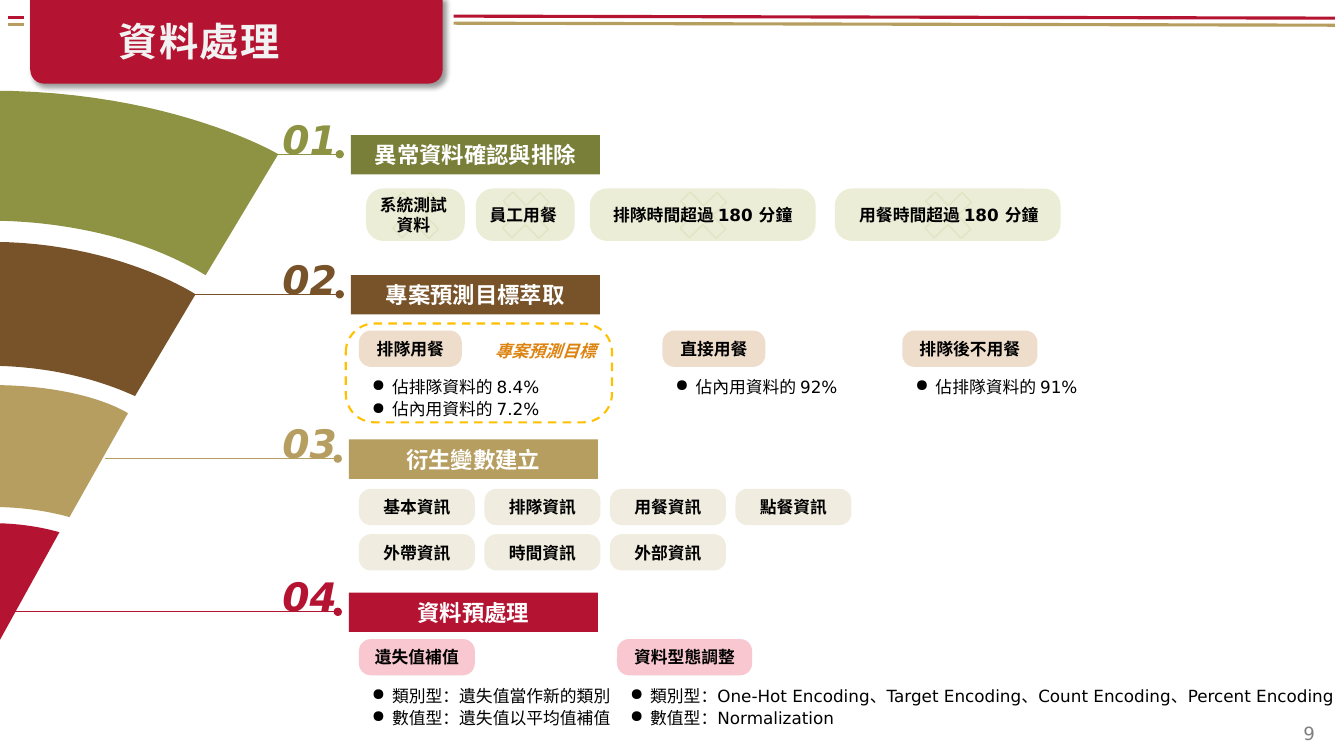
from dataclasses import dataclass
from math import comb

from lxml import etree
from pptx import Presentation
from pptx.dml import color
from pptx.enum import dml, shapes, text
from pptx.oxml import ns
from pptx.util import Inches, Pt

COLORS = {
    "red": "B41431", "gold": "B69E60", "brown": "785228", "olive": "8D9343",
    "olive_dark": "797E39", "olive_pale": "EBEDD7", "cross": "E2E4C4",
    "tan": "EEDDCB", "sand": "F0ECDF", "pink": "F9C7D0", "orange": "DD8310",
    "amber": "FFC000", "title": "F2F2F2", "white": "FFFFFF", "black": "000000",
    "gray": "808080",
}
LATIN, CJK = "DejaVu Sans", "Noto Sans CJK SC"
BODY = {"size": Pt(12), "bold": False}
LABEL = {"size": Pt(12), "bold": True}
TARGET = {"size": Pt(12), "bold": True, "italic": True}
HEADING = {"size": Pt(16), "bold": True}
NUMBER = {"size": Pt(28), "bold": True, "italic": True}
TITLE = {"size": Pt(28), "bold": True}
PAGE = {"size": Pt(13), "bold": False}
LEFT, CENTER, RIGHT = text.PP_ALIGN.LEFT, text.PP_ALIGN.CENTER, text.PP_ALIGN.RIGHT
SHAPE = shapes.MSO_SHAPE

Point = tuple[float, float]


@dataclass
class Stage:
    number: str
    heading: str
    color: str
    banner_color: str
    banner_left: float
    middle: float
    line_start: float
    outer: tuple[Point, ...]
    inner: tuple[Point, ...]


@dataclass
class Exclusion:
    label: str
    left: float
    width: float
    text_left: float
    text_width: float
    text_top: float = 1.98


@dataclass
class Detail:
    label: str
    left: float
    top: float
    width: float
    color: str
    bullets: tuple[str, ...]
    text_width: float = 3.02


STAGES = [
    Stage("04", "資料預處理", "red", "red", 3.46, 6.07, 0,
          ((-0.09, 5.19), (0.15, 5.19), (0.38, 5.22), (0.59, 5.28)),
          ((-0.09, 6.51),)),
    Stage("03", "衍生變數建立", "gold", "gold", 3.46, 4.55, 1.04,
          ((-0.09, 3.82), (0.86, 3.82), (1.27, 4.1), (1.27, 4.1)),
          ((-0.09, 5.03), (0.02, 5.03), (0.33, 5.03), (0.69, 5.13))),
    Stage("02", "專案預測目標萃取", "brown", "brown", 3.48, 2.92, 1.8,
          ((-0.09, 2.4), (1.15, 2.4), (1.94, 2.92), (1.94, 2.92)),
          ((-0.09, 3.63), (0.16, 3.63), (0.75, 3.66), (1.34, 3.93))),
    Stage("01", "異常資料確認與排除", "olive", "olive_dark", 3.48, 1.53, 2.57,
          ((-0.09, 0.9), (1.7, 0.9), (2.76, 1.53), (2.76, 1.53)),
          ((-0.09, 2.19), (0.24, 2.19), (1.21, 2.23), (2.04, 2.73))),
]
EXCLUSIONS = [
    Exclusion("系統測試資料", 3.63, 0.98, 3.65, 0.9, 1.88),
    Exclusion("員工用餐", 4.72, 0.98, 4.74, 0.9),
    Exclusion("排隊時間超過 180 分鐘", 5.85, 2.24, 5.81, 2.32),
    Exclusion("用餐時間超過 180 分鐘", 8.28, 2.24, 8.25, 2.32),
]
DETAILS = [
    Detail("排隊用餐", 3.56, 3.28, 1.02, "tan", ("佔排隊資料的 8.4%", "佔內用資料的 7.2%")),
    Detail("直接用餐", 6.57, 3.28, 1.02, "tan", ("佔內用資料的 92%",)),
    Detail("排隊後不用餐", 8.95, 3.28, 1.34, "tan", ("佔排隊資料的 91%",)),
    Detail("遺失值補值", 3.56, 6.34, 1.15, "pink",
           ("類別型：遺失值當作新的類別", "數值型：遺失值以平均值補值")),
    Detail("資料型態調整", 6.12, 6.34, 1.34, "pink",
           ("類別型：One-Hot Encoding、Target Encoding、Count Encoding、Percent Encoding",
            "數值型：Normalization"), 7.62),
]
VARIABLES = [["基本資訊", "排隊資訊", "用餐資訊", "點餐資訊"],
             ["外帶資訊", "時間資訊", "外部資訊"]]


def rgb(name: str) -> color.RGBColor:
    return color.RGBColor.from_string(COLORS[name])


def write(paragraph, words: str, fmt: dict, ink: str, align=LEFT, latin: str = LATIN):
    paragraph.alignment = align
    run = paragraph.add_run()
    run.text = words
    for key, value in {**fmt, "name": latin}.items():
        setattr(run.font, key, value)
    run.font.color.rgb = rgb(ink)
    properties = run.font._element
    etree.SubElement(properties, ns.qn("a:ea"), typeface=CJK)
    return properties


def add_preset(slide, kind, left: float, top: float, width: float, height: float,
               fill: str | None = None, line: str | None = None, line_width: float = 1):
    shape = slide.shapes.add_shape(kind, Inches(left), Inches(top), Inches(width), Inches(height))
    paint(shape, fill)
    if line:
        shape.line.color.rgb = rgb(line)
        shape.line.width = Pt(line_width)
    return shape


def paint(shape, fill: str | None) -> None:
    shape.shadow.inherit = False
    shape.line.fill.background()
    if fill:
        shape.fill.solid()
        shape.fill.fore_color.rgb = rgb(fill)
    else:
        shape.fill.background()


def add_label(slide, words: str, left: float, top: float, width: float, height: float,
              fmt: dict, ink: str, align=LEFT, wrap: bool = True):
    box = slide.shapes.add_textbox(Inches(left), Inches(top), Inches(width), Inches(height))
    box.text_frame.word_wrap = wrap
    write(box.text_frame.paragraphs[0], words, fmt, ink, align)
    return box


def add_pill(slide, words: str, left: float, top: float, width: float, fill: str) -> None:
    pill = add_preset(slide, SHAPE.ROUNDED_RECTANGLE, left, top, width, 0.36, fill)
    pill.adjustments[0] = 0.33
    pill.text_frame.vertical_anchor = text.MSO_ANCHOR.MIDDLE
    write(pill.text_frame.paragraphs[0], words, LABEL, "black", CENTER)


def add_line(slide, start: Point, end: Point, ink: str, width: float, dot: bool = False) -> None:
    line = slide.shapes.add_connector(shapes.MSO_CONNECTOR.STRAIGHT,
                                      *(Inches(value) for value in start + end))
    line.line.color.rgb = rgb(ink)
    line.line.width = Pt(width)
    if dot:
        etree.SubElement(line.line._get_or_add_ln(), ns.qn("a:tailEnd"), type="oval")
    etree.SubElement(line._element.spPr, ns.qn("a:effectLst"))


def bezier(controls: tuple[Point, ...]) -> list[Point]:
    degree = len(controls) - 1
    steps = 24 if degree else 0
    return [tuple(sum(comb(degree, i) * (1 - t) ** (degree - i) * t ** i * control[axis]
                      for i, control in enumerate(controls)) for axis in (0, 1))
            for t in (step / max(steps, 1) for step in range(steps + 1))]


def add_stage(slide, stage: Stage) -> None:
    outline = bezier(stage.outer) + bezier(stage.inner)[::-1]
    points = [(Inches(x), Inches(y)) for x, y in outline]
    builder = slide.shapes.build_freeform(*points[0])
    builder.add_line_segments(points[1:], close=True)
    paint(builder.convert_to_shape(), stage.color)
    banner = add_preset(slide, SHAPE.RECTANGLE, stage.banner_left, stage.middle - 0.19, 2.47, 0.39,
                        stage.banner_color)
    banner.text_frame.vertical_anchor = text.MSO_ANCHOR.MIDDLE
    write(banner.text_frame.paragraphs[0], stage.heading, HEADING, "white", CENTER)
    add_line(slide, (stage.line_start, stage.middle), (stage.banner_left - 0.11, stage.middle),
             stage.color, 0.75, dot=True)
    add_label(slide, stage.number, 2.68, stage.middle - 0.44, 0.76, 0.57,
              NUMBER, stage.color, RIGHT, wrap=False)


def add_exclusion(slide, item: Exclusion) -> None:
    pill = add_preset(slide, SHAPE.ROUNDED_RECTANGLE, item.left, 1.87, item.width, 0.52, "olive_pale")
    pill.adjustments[0] = 0.33
    cross = add_preset(slide, SHAPE.CROSS, item.left + item.width / 2 - 0.25, 1.88, 0.51, 0.51,
                       line="cross")
    cross.adjustments[0] = 0.37
    cross.rotation = 46.3
    add_label(slide, item.label, item.text_left, item.text_top, item.text_width, 0.3,
              LABEL, "black", CENTER)


def add_detail(slide, detail: Detail) -> None:
    add_pill(slide, detail.label, detail.left, detail.top, detail.width, detail.color)
    box = slide.shapes.add_textbox(Inches(detail.left - 0.24), Inches(detail.top + 0.39),
                                   Inches(detail.text_width), Inches(0.5))
    frame = box.text_frame
    frame.word_wrap = True
    for index, bullet in enumerate(detail.bullets):
        paragraph = frame.add_paragraph() if index else frame.paragraphs[0]
        paragraph.line_spacing = 1.1
        properties = paragraph._p.get_or_add_pPr()
        properties.set("marL", str(Inches(0.47)))
        properties.set("indent", str(Inches(-0.2)))
        etree.SubElement(properties, ns.qn("a:buChar"), char="●")
        write(paragraph, bullet, BODY, "black")


def add_header(slide) -> None:
    for ink, y in (("red", 0.16), ("gold", 0.23)):
        add_line(slide, (4.5, y), (13.24, y + 0.02), ink, 2.25)
        add_line(slide, (0.08, y + 0.01), (0.24, y + 0.01), ink, 2.25)
    tab = add_preset(slide, SHAPE.ROUND_2_SAME_RECTANGLE, 0.3, -0.03, 4.09, 0.86, "red")
    tab.adjustments[0], tab.adjustments[1] = 0, 0.16
    effects = tab._element.spPr.find(ns.qn("a:effectLst"))
    shadow = etree.SubElement(effects, ns.qn("a:outerShdw"), blurRad=str(Pt(4)), dist=str(Pt(3)),
                              dir="2700000", algn="tl", rotWithShape="0")
    shade = etree.SubElement(shadow, ns.qn("a:srgbClr"), val=COLORS["black"])
    etree.SubElement(shade, ns.qn("a:alpha"), val="40000")
    title = slide.shapes.title
    place = {"left": 1.08, "top": 0.12, "width": 1.83, "height": 0.57}
    for key, value in place.items():
        setattr(title, key, Inches(value))
    title.text_frame.word_wrap = False
    title.text_frame.vertical_anchor = text.MSO_ANCHOR.TOP
    write(title.text_frame.paragraphs[0], "資料處理", TITLE, "title", latin=CJK).set("spc", "100")
    tab._element.addnext(title._element)


def main() -> None:
    deck = Presentation()
    deck.slide_width, deck.slide_height = Inches(13.33), Inches(7.5)
    slide = deck.slides.add_slide(deck.slide_layouts[5])
    add_header(slide)
    for stage in STAGES:
        add_stage(slide, stage)
    for item in EXCLUSIONS:
        add_exclusion(slide, item)
    for detail in DETAILS:
        add_detail(slide, detail)
    add_label(slide, "專案預測目標", 4.81, 3.33, 1.21, 0.3, TARGET, "orange", wrap=False)
    frame = add_preset(slide, SHAPE.ROUNDED_RECTANGLE, 3.43, 3.21, 2.64, 0.98,
                       line="amber", line_width=1.5)
    frame.adjustments[0] = 0.29
    frame.line.dash_style = dml.MSO_LINE.DASH
    for row, names in enumerate(VARIABLES):
        for column, name in enumerate(names):
            add_pill(slide, name, 3.56 + 1.245 * column, 4.85 + 0.45 * row, 1.15, "sand")
    page = add_label(slide, "9", 11.37, 7.07, 1.77, 0.4, PAGE, "gray", RIGHT)
    page.text_frame.vertical_anchor = text.MSO_ANCHOR.MIDDLE
    deck.save("out.pptx")


if __name__ == "__main__":
    main()
